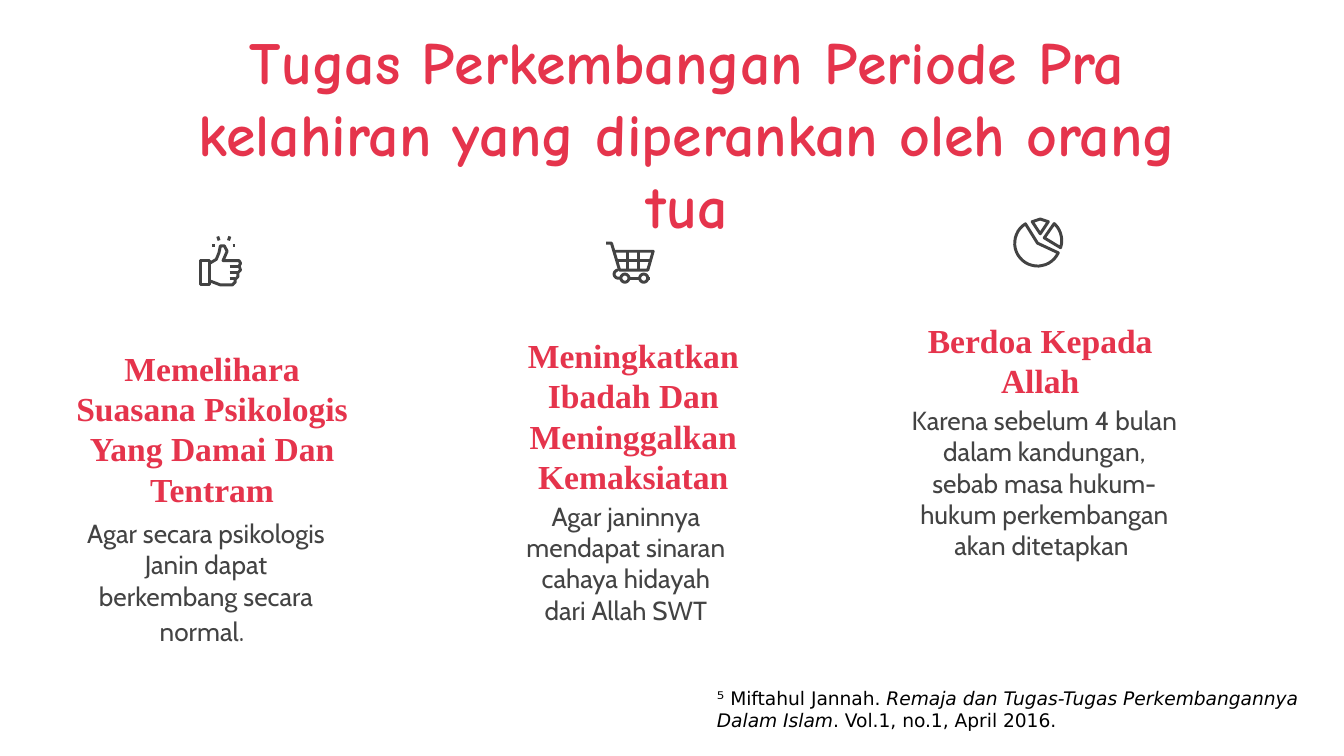
from math import cos, pi, sin

from pptx import Presentation
from pptx.dml.color import RGBColor
from pptx.enum.text import PP_ALIGN
from pptx.util import Cm, Pt

CENTER, LEFT = PP_ALIGN.CENTER, PP_ALIGN.LEFT
RED, GRAY, BLACK = "E5344C", "434343", "000000"


def add_text(left, top, width, height, runs, align=CENTER, spacing=None):
    """Each run is (text, size, font, colour, bold, italic)."""
    box = slide.shapes.add_textbox(Cm(left), Cm(top), Cm(width), Cm(height))
    frame = box.text_frame
    frame.word_wrap = True
    paragraph = frame.paragraphs[0]
    paragraph.alignment = align
    if spacing:
        paragraph.line_spacing = Pt(spacing)
    for text, size, font, color, bold, italic in runs:
        run = paragraph.add_run()
        run.text = text
        run.font.size = Pt(size)
        run.font.name = font
        run.font.color.rgb = RGBColor.from_string(color)
        run.font.bold = bold
        run.font.italic = italic
    return frame


def arc(x, y, radius, start=0, end=360):
    """Points on an arc, angles clockwise from the right."""
    angles = [(start + (end - start) * i / 24) * pi / 180 for i in range(25)]
    return [(x + radius * cos(a), y + radius * sin(a)) for a in angles]


prs = Presentation()
prs.slide_width, prs.slide_height = Cm(25.4), Cm(14.29)
slide = prs.slides.add_slide(prs.slide_layouts[6])

# Title
title = add_text(3.11, 0.22, 19.76, 2.97, [(
    "Tugas Perkembangan Periode Pra kelahiran yang diperankan oleh orang tua",
    32, "Comic Neue", RED, True, False)], spacing=38.5)
title.margin_top = title.margin_bottom = Cm(0.25)

# Three tasks: heading and explanation, each with its box
tasks = [
    ("Memelihara Suasana Psikologis Yang Damai Dan Tentram", (1.09, 6.32, 5.84, 3.28),
     "Agar secara psikologis Janin dapat berkembang secara normal", (1.34, 9.53, 5.11, 2.62)),
    ("Meningkatkan Ibadah Dan Meninggalkan Kemaksiatan", (9.1, 6.08, 5.74, 3.28),
     "Agar janinnya mendapat sinaran cahaya hidayah dari Allah SWT", (9.62, 9.2, 4.42, 2.62)),
    ("Berdoa Kepada Allah", (17.07, 5.79, 5.18, 2.97),
     "Karena sebelum 4 bulan dalam kandungan, sebab masa hukum-hukum perkembangan akan ditetapkan ",
     (16.96, 7.39, 5.56, 3.28)),
]
for heading, heading_box, reason, reason_box in tasks:
    reason_runs = [(reason, 14, "Cabin", GRAY, False, False)]
    if reason.endswith("normal"):
        reason_runs.append((". ", 16, "Quicksand", GRAY, False, False))
    for box, runs, spacing in (
            (heading_box, [(heading, 18, "Times New Roman", RED, True, False)], 21.6),
            (reason_box, reason_runs, None)):
        frame = add_text(*box, runs, spacing=spacing)
        frame.margin_top = frame.margin_bottom = Cm(0.25)

# Icons as outlines in inches: each shape is a list of (points, closed)
thumb = [
    ([(1.49, 1.94), (1.56, 1.94), (1.56, 2.12), (1.49, 2.12)], True),
    ([(1.56, 1.96), (1.61, 1.93), (1.63, 1.88), (1.64, 1.83), (1.67, 1.83),
      (1.69, 1.87), (1.66, 1.94), (1.78, 1.94), (1.79, 1.96), (1.78, 1.98),
      (1.79, 2.01), (1.77, 2.03), (1.77, 2.06), (1.75, 2.08), (1.75, 2.1),
      (1.73, 2.12), (1.64, 2.12), (1.56, 2.09)], False),
] + [([(1.71, y), (x, y)], False) for x, y in ((1.78, 1.98), (1.77, 2.03), (1.75, 2.07))]
sparks = [[([start, end], False)] for start, end in (
    ((1.62, 1.76), (1.63, 1.79)), ((1.71, 1.76), (1.7, 1.79)),
    ((1.73, 1.83), (1.75, 1.83)), ((1.58, 1.83), (1.6, 1.83)))]
pie = [(arc(7.72, 1.81, 0.17, 25, 238) + [(7.72, 1.81)], True)]
right_slice = [(arc(7.73, 1.79, 0.17, 18, -48) + [(7.77, 1.77)], True)]
top_slice = [([(7.74, 1.74), (7.68, 1.65), (7.71, 1.64), (7.74, 1.63),
               (7.77, 1.64), (7.8, 1.65)], True)]
cart = [
    ([(4.51, 1.81), (4.55, 1.81), (4.61, 2.01), (4.82, 2.01), (4.86, 1.87), (4.57, 1.87)], False),
    ([(4.59, 1.94), (4.84, 1.94)], False),
    ([(4.67, 1.87), (4.67, 2.01)], False),
    ([(4.75, 1.87), (4.75, 2.01)], False),
    (arc(4.6, 2.04, 0.03, 270, 90) + [(4.62, 2.07)], False),
    ([(4.68, 2.07), (4.76, 2.07)], False),
    ([(4.82, 2.07), (4.84, 2.07)], False),
    (arc(4.65, 2.07, 0.03), True),
    (arc(4.79, 2.07, 0.03), True),
]

# Freeform points are whole numbers, so count in thousandths of an inch
for outlines in [thumb, *sparks, pie, right_slice, top_slice, cart]:
    strokes = [([(x * 1000, y * 1000) for x, y in points], closed)
               for points, closed in outlines]
    builder = slide.shapes.build_freeform(*strokes[0][0][0], scale=Cm(2.54) / 1000)
    for number, (points, closed) in enumerate(strokes):
        if number:
            builder.move_to(*points[0])
        builder.add_line_segments(points[1:], close=closed)
    icon = builder.convert_to_shape()
    icon.shadow.inherit = False
    icon.fill.background()
    icon.line.color.rgb = RGBColor.from_string(GRAY)
    icon.line.width = Pt(1.6)

# Footnote
add_text(13.3, 12.85, 12.09, 1.12, [
    ("⁵ Miftahul Jannah. ", 10, "DejaVu Sans", BLACK, False, False),
    ("Remaja dan Tugas-Tugas Perkembangannya Dalam Islam", 10, "DejaVu Sans", BLACK, False, True),
    (". Vol.1, no.1, April 2016.", 10, "DejaVu Sans", BLACK, False, False),
], LEFT)

prs.save("out.pptx")
